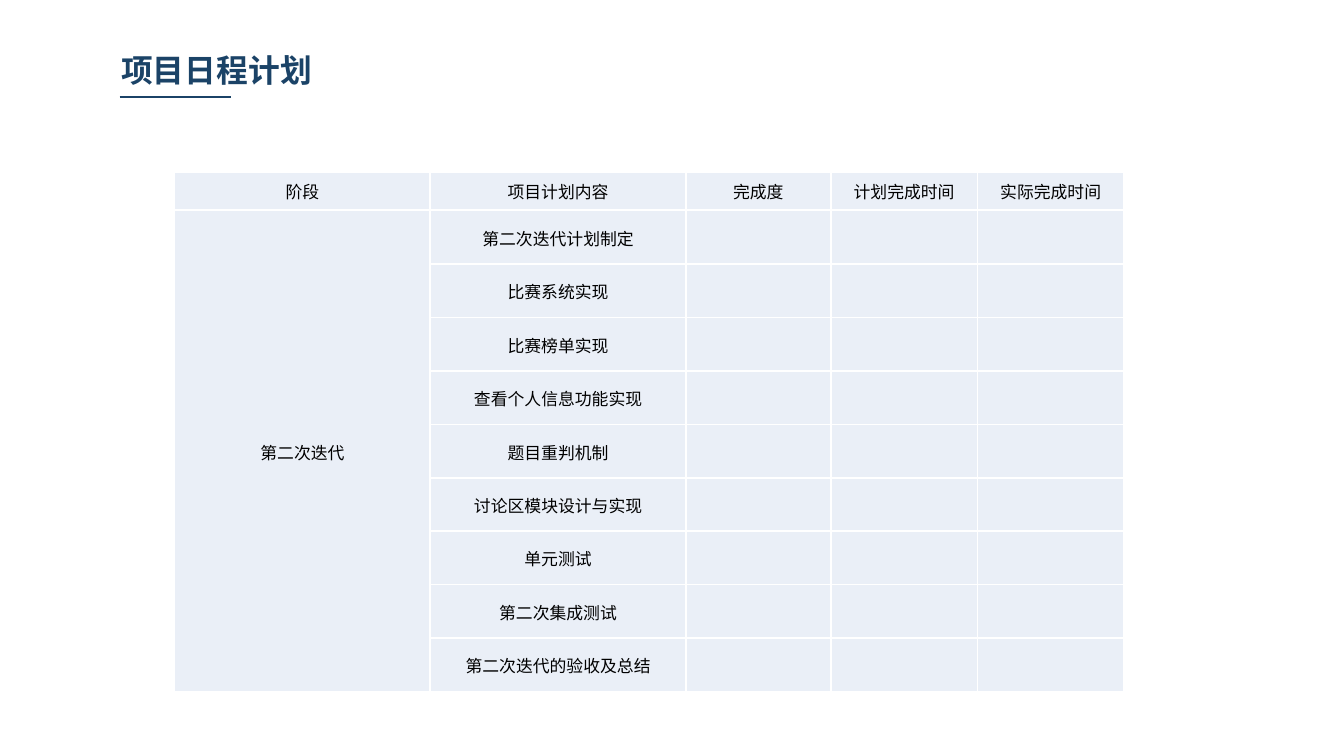
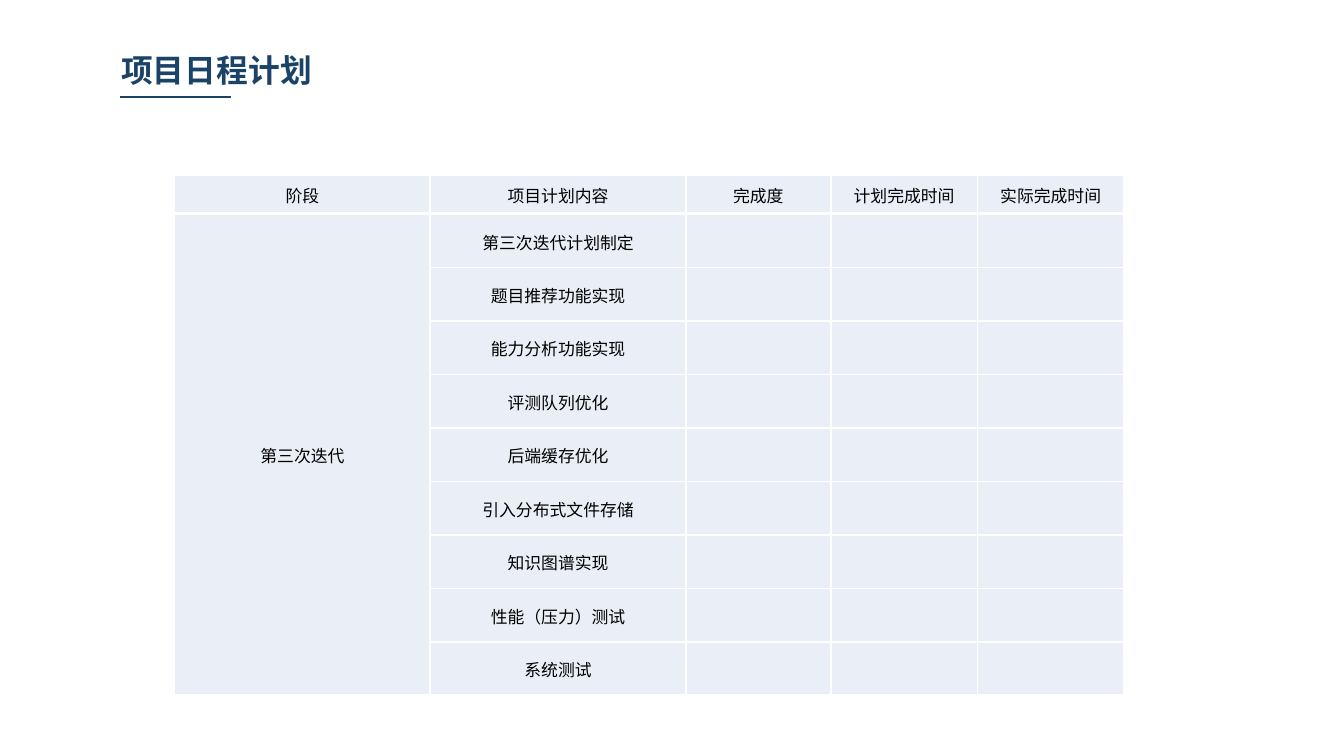
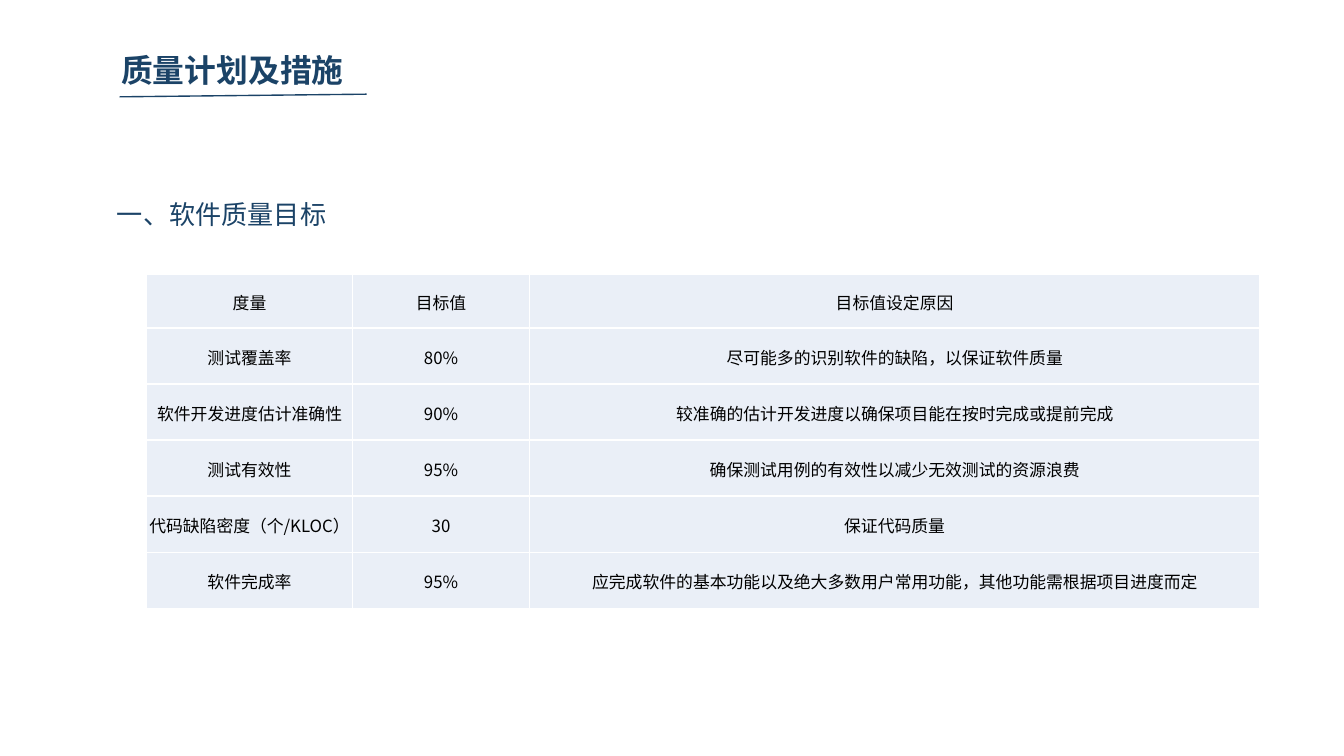
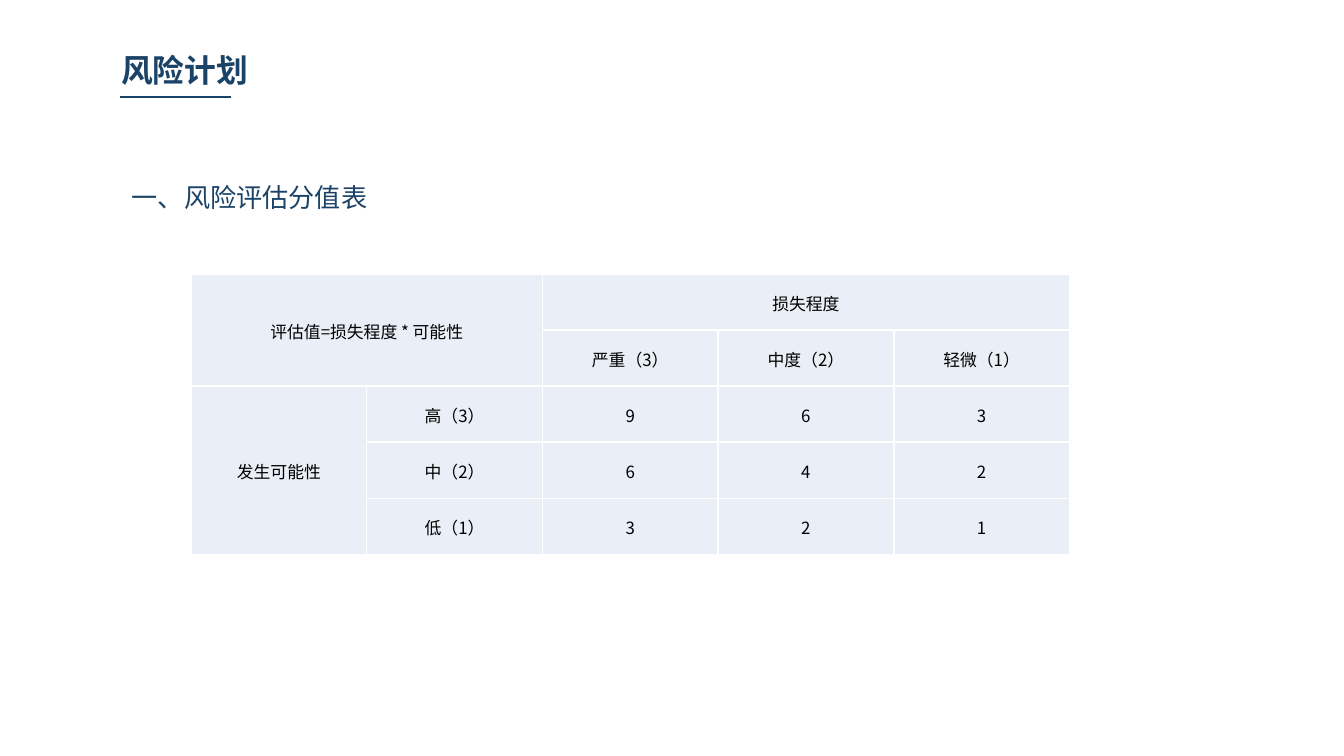
from dataclasses import dataclass

from lxml.etree import SubElement
from pptx import Presentation
from pptx.dml.color import RGBColor
from pptx.enum.shapes import MSO_CONNECTOR
from pptx.enum.text import MSO_ANCHOR, MSO_AUTO_SIZE, PP_ALIGN
from pptx.oxml.ns import qn
from pptx.util import Cm, Pt


@dataclass(frozen=True)
class Theme:
    font: str = "Noto Sans CJK SC"
    navy: str = "1B4367"
    cell_fill: str = "EAEFF7"
    cell_text: str = "000000"
    border: str = "FFFFFF"
    title_size: float = 17
    heading_size: float = 14
    cell_size: float = 9
    rule_width: float = 0.75
    border_width: float = 1


class Deck:
    """Holds the style and the slide being built; lengths are centimetres."""

    def __init__(self, theme):
        self.theme = theme
        self.presentation = Presentation()
        self.presentation.slide_width = Cm(25.4)
        self.presentation.slide_height = Cm(14.29)
        self.slide = None

    def add_run(self, paragraph, text, size, color, bold=False):
        run = paragraph.add_run()
        run.text = text
        run.font.size = Pt(size)
        run.font.bold = bold
        run.font.color.rgb = RGBColor.from_string(color)
        run.font.name = self.theme.font
        east_asian = SubElement(run.font._element, qn("a:ea"))
        east_asian.set("typeface", self.theme.font)

    def format_frame(self, frame, side_margin, wrap):
        frame.word_wrap = wrap
        frame.auto_size = MSO_AUTO_SIZE.NONE
        frame.vertical_anchor = MSO_ANCHOR.MIDDLE
        frame.margin_left = frame.margin_right = Cm(side_margin)
        frame.margin_top = frame.margin_bottom = 0

    def new_slide(self, title, rule_end=(4.37, 1.83)):
        """Start a title-only slide with its title and the rule below it."""
        self.slide = self.presentation.slides.add_slide(
            self.presentation.slide_layouts[5])
        heading = self.slide.shapes.title
        heading.left, heading.top = Cm(1.98), Cm(0.86)
        heading.width, heading.height = Cm(9.93), Cm(0.91)
        self.format_frame(heading.text_frame, 0.31, True)
        paragraph = heading.text_frame.paragraphs[0]
        paragraph.alignment = PP_ALIGN.LEFT
        self.add_run(paragraph, title, self.theme.title_size,
                     self.theme.navy, bold=True)
        self.rule((2.26, 1.83), rule_end)

    def rule(self, start, end):
        rule = self.slide.shapes.add_connector(
            MSO_CONNECTOR.STRAIGHT, *map(Cm, start + end))
        rule.line.color.rgb = RGBColor.from_string(self.theme.navy)
        rule.line.width = Pt(self.theme.rule_width)
        SubElement(rule._element.spPr, qn("a:effectLst"))

    def section(self, text, left, top, width):
        box = self.slide.shapes.add_textbox(
            Cm(left), Cm(top), Cm(width), Cm(0.86))
        self.format_frame(box.text_frame, 0.25, False)
        self.add_run(box.text_frame.paragraphs[0], text,
                     self.theme.heading_size, self.theme.navy)

    def format_cell(self, cell):
        properties = cell._tc.get_or_add_tcPr()
        for side in ("a:lnL", "a:lnR", "a:lnT", "a:lnB"):
            line = SubElement(properties, qn(side))
            line.set("w", str(Pt(self.theme.border_width)))
            fill = SubElement(line, qn("a:solidFill"))
            SubElement(fill, qn("a:srgbClr")).set("val", self.theme.border)
        cell.fill.solid()
        cell.fill.fore_color.rgb = RGBColor.from_string(self.theme.cell_fill)
        cell.vertical_anchor = MSO_ANCHOR.MIDDLE
        cell.margin_left = cell.margin_right = cell.margin_top = Cm(0.03)
        cell.margin_bottom = 0

    def table(self, left, top, widths, heights, rows, merges=()):
        """Fill a table row by row; merges are (first, last) cell positions."""
        table = self.slide.shapes.add_table(
            len(heights), len(widths), Cm(left), Cm(top),
            Cm(sum(widths)), Cm(sum(heights))).table
        table.first_row = table.horz_banding = False
        for column, width in zip(table.columns, widths):
            column.width = Cm(width)
        for row, height in zip(table.rows, heights):
            row.height = Cm(height)
        for cell in table.iter_cells():
            self.format_cell(cell)
        for first, last in merges:
            table.cell(*first).merge(table.cell(*last))
        for r, row in enumerate(rows):
            for c, text in enumerate(row):
                if text:
                    paragraph = table.cell(r, c).text_frame.paragraphs[0]
                    paragraph.alignment = PP_ALIGN.CENTER
                    self.add_run(paragraph, text, self.theme.cell_size,
                                 self.theme.cell_text)

    def save(self):
        self.presentation.save("out.pptx")


deck = Deck(Theme())

# Schedule slides: a header table above one table per iteration
SCHEDULE_LEFT = 3.3
SCHEDULE_WIDTHS = [4.83, 4.83, 2.74, 2.77, 2.77]
SCHEDULE_HEADER = ["阶段", "项目计划内容", "完成度", "计划完成时间", "实际完成时间"]
iterations = [
    ("第二次迭代", 3.25, [
        "第二次迭代计划制定", "比赛系统实现", "比赛榜单实现",
        "查看个人信息功能实现", "题目重判机制", "讨论区模块设计与实现",
        "单元测试", "第二次集成测试", "第二次迭代的验收及总结"]),
    ("第三次迭代", 3.32, [
        "第三次迭代计划制定", "题目推荐功能实现", "能力分析功能实现",
        "评测队列优化", "后端缓存优化", "引入分布式文件存储",
        "知识图谱实现", "性能（压力）测试", "系统测试"]),
]
for stage, top, tasks in iterations:
    deck.new_slide("项目日程计划")
    deck.table(SCHEDULE_LEFT, top, SCHEDULE_WIDTHS, [0.71], [SCHEDULE_HEADER])
    task_rows = [["", task] for task in tasks]
    task_rows[0][0] = stage
    deck.table(SCHEDULE_LEFT, top + 0.73, SCHEDULE_WIDTHS,
               [1.01] * len(tasks), task_rows,
               merges=[((0, 0), (len(tasks) - 1, 0))])

# Quality goals
deck.new_slide("质量计划及措施", rule_end=(6.93, 1.78))
deck.section("一、软件质量目标", 1.96, 3.61, 4.5)
quality_goals = [
    ("度量", "目标值", "目标值设定原因"),
    ("测试覆盖率", "80%", "尽可能多的识别软件的缺陷，以保证软件质量"),
    ("软件开发进度估计准确性", "90%",
     "较准确的估计开发进度以确保项目能在按时完成或提前完成"),
    ("测试有效性", "95%", "确保测试用例的有效性以减少无效测试的资源浪费"),
    ("代码缺陷密度（个/KLOC）", "30", "保证代码质量"),
    ("软件完成率", "95%",
     "应完成软件的基本功能以及绝大多数用户常用功能，其他功能需根据项目进度而定"),
]
deck.table(2.77, 5.18, [3.89, 3.35, 13.79], [1.02] + [1.06] * 5,
           quality_goals)

# Risk scores: likelihood down, severity across, each value their product
deck.new_slide("风险计划")
deck.section("一、风险评估分值表", 2.24, 3.3, 5)
severities = [("严重", 3), ("中度", 2), ("轻微", 1)]
likelihoods = [("高", 3), ("中", 2), ("低", 1)]
risk_rows = [
    ["评估值=损失程度 * 可能性", "", "损失程度"],
    ["", ""] + [f"{name}（{score}）" for name, score in severities],
]
for name, score in likelihoods:
    products = [str(score * severity) for _, severity in severities]
    risk_rows.append(["", f"{name}（{score}）"] + products)
risk_rows[2][0] = "发生可能性"
deck.table(3.61, 5.18, [3.32] * 5, [1.06] * 5, risk_rows,
           merges=[((0, 0), (1, 1)), ((0, 2), (0, 4)), ((2, 0), (4, 0))])

deck.save()
